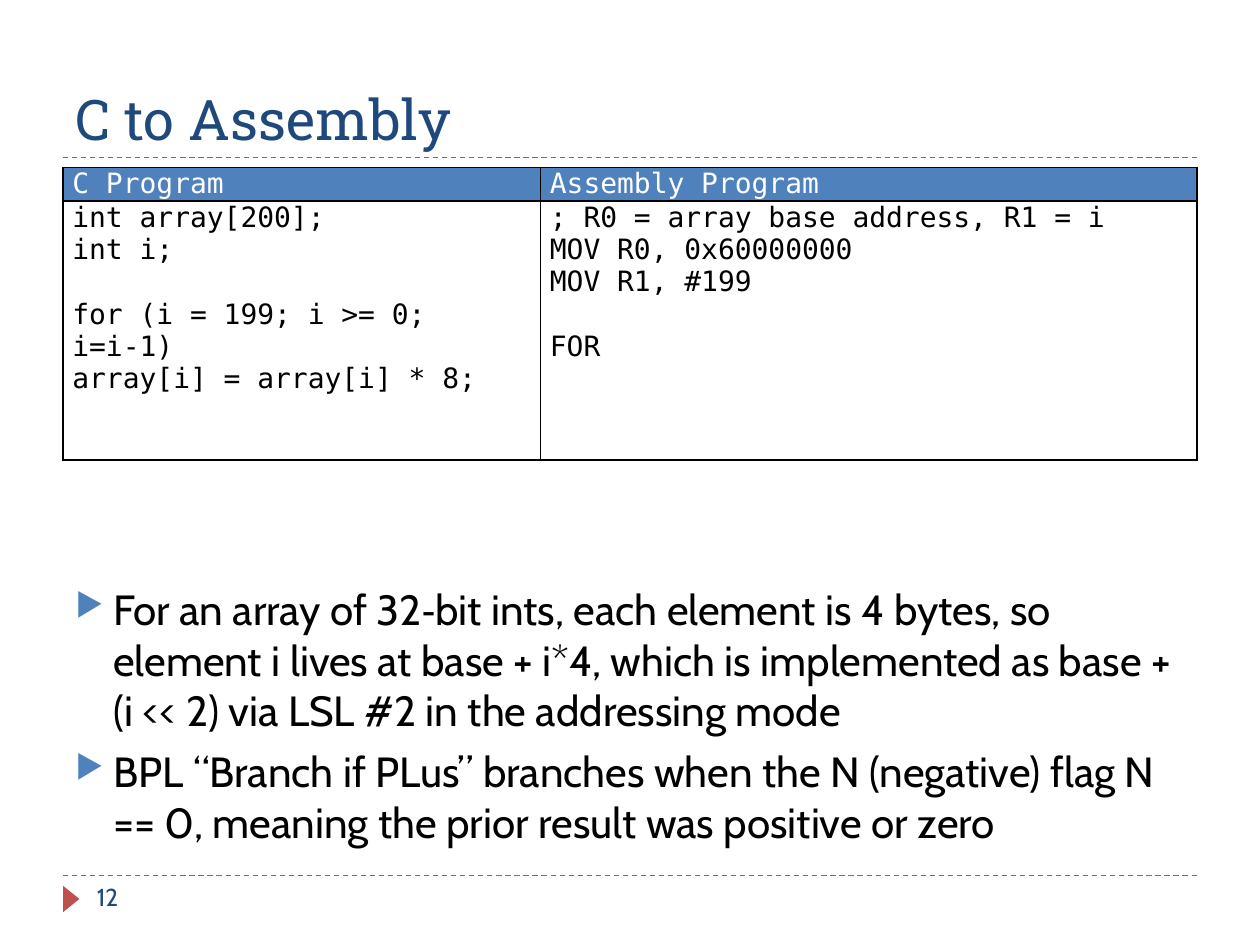
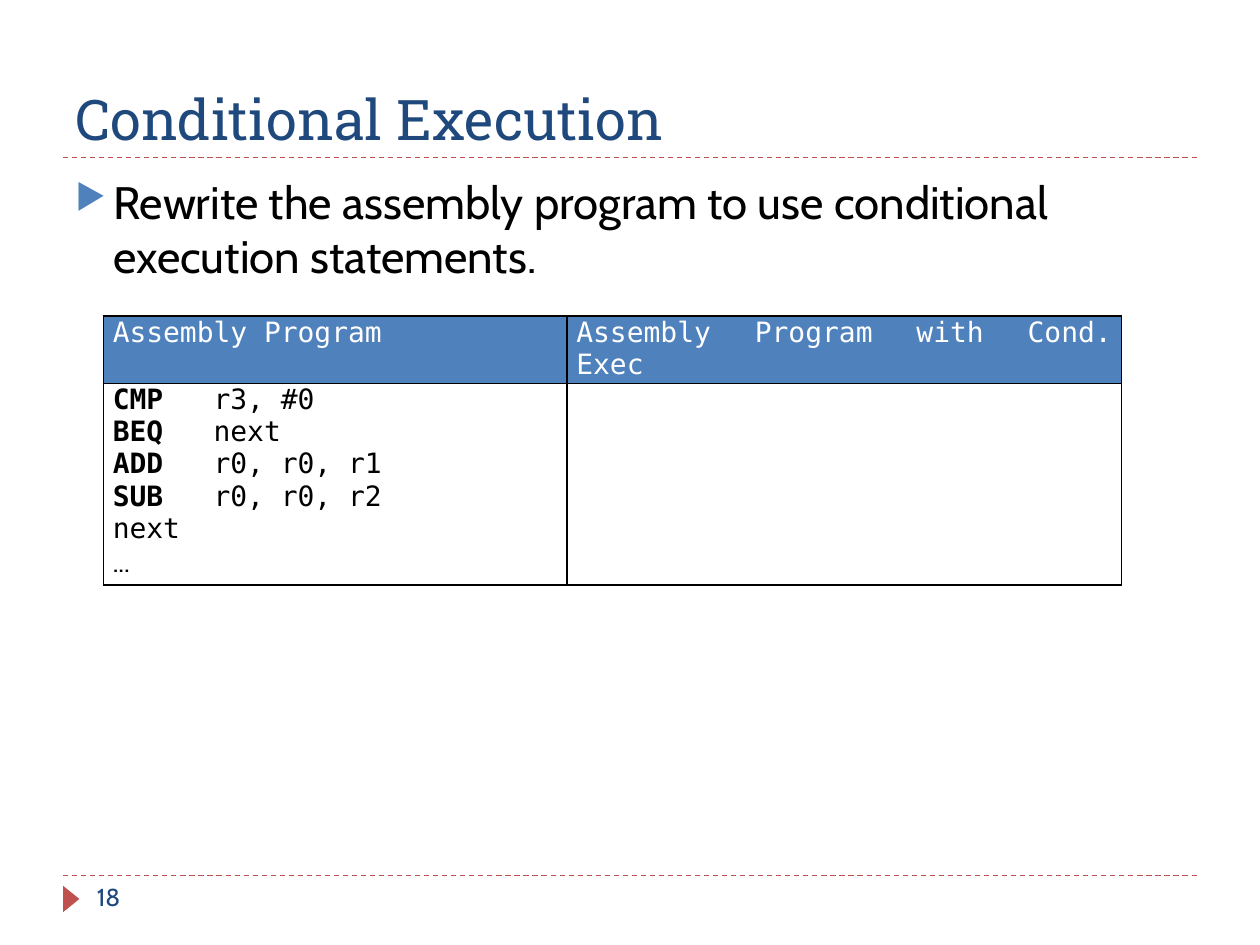
from lxml import etree
from pptx import Presentation
from pptx import util as u
from pptx.dml.color import RGBColor
from pptx.enum import dml, shapes, text
from pptx.oxml import ns

Pt = u.Pt
NAVY, BLUE, RED, BLACK, WHITE = "1F497D", "4F81BD", "C0504D", "000000", "FFFFFF"
HEAD, BODY, CODE = "Roboto Slab", "Cabin", "DejaVu Sans Mono"
LEFT, WIDE = 36, 648


def ink(code):
    return RGBColor.from_string(code)


def style(para, size, face, code):
    para.font.size = Pt(size)
    para.font.name = face
    para.font.color.rgb = ink(code)


# An empty line leaves a gap; a pair is a bold opcode and its operands
pages = [
    dict(
        title="C to Assembly", num="12", top=329.76, high=154.8, size=24.1,
        points=[
            "For an array of 32‑bit ints, each element is 4 bytes, so element i lives at "
            "base + i*4, which is implemented as base + (i << 2) via LSL #2 in the addressing mode",
            "BPL “Branch if PLus” branches when the N (negative) flag N == 0, "
            "meaning the prior result was positive or zero",
        ],
        place=(36, 95.76), cols=(272.88, 375.12), rows=(18.6, 148),
        heads=["C Program", "Assembly Program"],
        code=[
            ["int array[200];", "int i;", "", "for (i = 199; i >= 0; i=i-1)",
             "array[i] = array[i] * 8;"],
            ["; R0 = array base address, R1 = i", "MOV R0, 0x60000000",
             "MOV R1, #199", "", "FOR"],
        ],
    ),
    dict(
        title="Conditional Execution", num="18", top=95.76, high=84.24, size=26,
        points=["Rewrite the assembly program to use conditional execution statements."],
        place=(59.04, 180.72), cols=(264.96, 316.8), rows=(37, 112),
        heads=["Assembly Program", "Assembly Program with Cond. Exec"],
        code=[
            [("CMP", "   r3, #0"), ("BEQ", "   next"), ("ADD", "   r0, r0, r1"),
             ("SUB", "   r0, r0, r2"), "next", "..."],
            [],
        ],
    ),
]

deck = Presentation()
deck.slide_width, deck.slide_height = Pt(720), Pt(540)

for page in pages:
    slide = deck.slides.add_slide(deck.slide_layouts[6])
    draw = slide.shapes

    # Dashed rules
    for y in (500.4, 90):
        rule = draw.add_connector(shapes.MSO_CONNECTOR.STRAIGHT,
                                  Pt(LEFT), Pt(y), Pt(LEFT + WIDE), Pt(y))
        rule.line.color.rgb = ink(RED)
        rule.line.width = Pt(0.75)
        rule.line.dash_style = dml.MSO_LINE.DASH
        etree.SubElement(rule._element.spPr, ns.qn("a:effectLst"))

    # Footer marker
    mark = draw.add_shape(shapes.MSO_SHAPE.ISOSCELES_TRIANGLE,
                          Pt(33.12), Pt(509.04), Pt(15.12), Pt(9.36))
    mark.rotation = 90
    mark.shadow.inherit = False
    mark.fill.solid()
    mark.fill.fore_color.rgb = ink(RED)
    mark.line.fill.background()

    # Title, page number and bullet text
    for words, frame, size, face, code in (
        ([page["title"]], (LEFT, 12.24, WIDE, 77.76), 32, HEAD, NAVY),
        ([page["num"]], (48.24, 500.4, 156.24, 28.8), 14, BODY, NAVY),
        (page["points"], (LEFT, page["top"], WIDE, page["high"]), page["size"], BODY, BLACK),
    ):
        box = draw.add_textbox(*map(Pt, frame)).text_frame
        box.word_wrap = True
        if face == HEAD:
            box.vertical_anchor = text.MSO_ANCHOR.BOTTOM
        for i, line in enumerate(words):
            para = box.add_paragraph() if i else box.paragraphs[0]
            para.text = line
            if words is page["points"]:
                prop = para._p.get_or_add_pPr()
                prop.set("marL", str(Pt(21.6)))
                prop.set("indent", str(-Pt(21.6)))
                tint = etree.SubElement(prop, ns.qn("a:buClr"))
                etree.SubElement(tint, ns.qn("a:srgbClr"), val=BLUE)
                etree.SubElement(prop, ns.qn("a:buSzPct"), val="76000")
                etree.SubElement(prop, ns.qn("a:buChar"), char="▶")
                if i:
                    para.space_before = Pt(6)
            style(para, size, face, code)

    # Code table
    grid = draw.add_table(2, 2, *map(Pt, page["place"]), Pt(sum(page["cols"])),
                          Pt(sum(page["rows"]))).table
    grid.first_row = grid.horz_banding = False
    for i in range(2):
        grid.columns[i].width = Pt(page["cols"][i])
        grid.rows[i].height = Pt(page["rows"][i])

    for r in range(2):
        for c in range(2):
            cell = grid.cell(r, c)
            cell.margin_left = cell.margin_right = Pt(5.4)
            cell.margin_top = cell.margin_bottom = 0
            for side in ("lnL", "lnR", "lnT", "lnB"):
                edge = etree.SubElement(cell._tc.get_or_add_tcPr(), ns.qn("a:" + side),
                                        w=str(Pt(1)))
                paint = etree.SubElement(edge, ns.qn("a:solidFill"))
                etree.SubElement(paint, ns.qn("a:srgbClr"), val=BLACK)
            if r == 0:
                cell.fill.solid()
                cell.fill.fore_color.rgb = ink(BLUE)
            else:
                cell.fill.background()

            lines = page["code"][c] if r else [page["heads"][c]]
            gap = False
            for i, line in enumerate(lines):
                if not line:
                    gap = True
                    continue
                para = cell.text_frame.add_paragraph() if i else cell.text_frame.paragraphs[0]
                if isinstance(line, tuple):
                    for part in line:
                        run = para.add_run()
                        run.text = part
                        run.font.bold = part == line[0]
                else:
                    para.text = line
                if r == 0 or c == 1:
                    para.alignment = text.PP_ALIGN.JUSTIFY
                if gap:
                    para.space_before = Pt(18.6)
                    gap = False
                style(para, 16, BODY if line == "..." else CODE, BLACK if r else WHITE)

deck.save("out.pptx")
